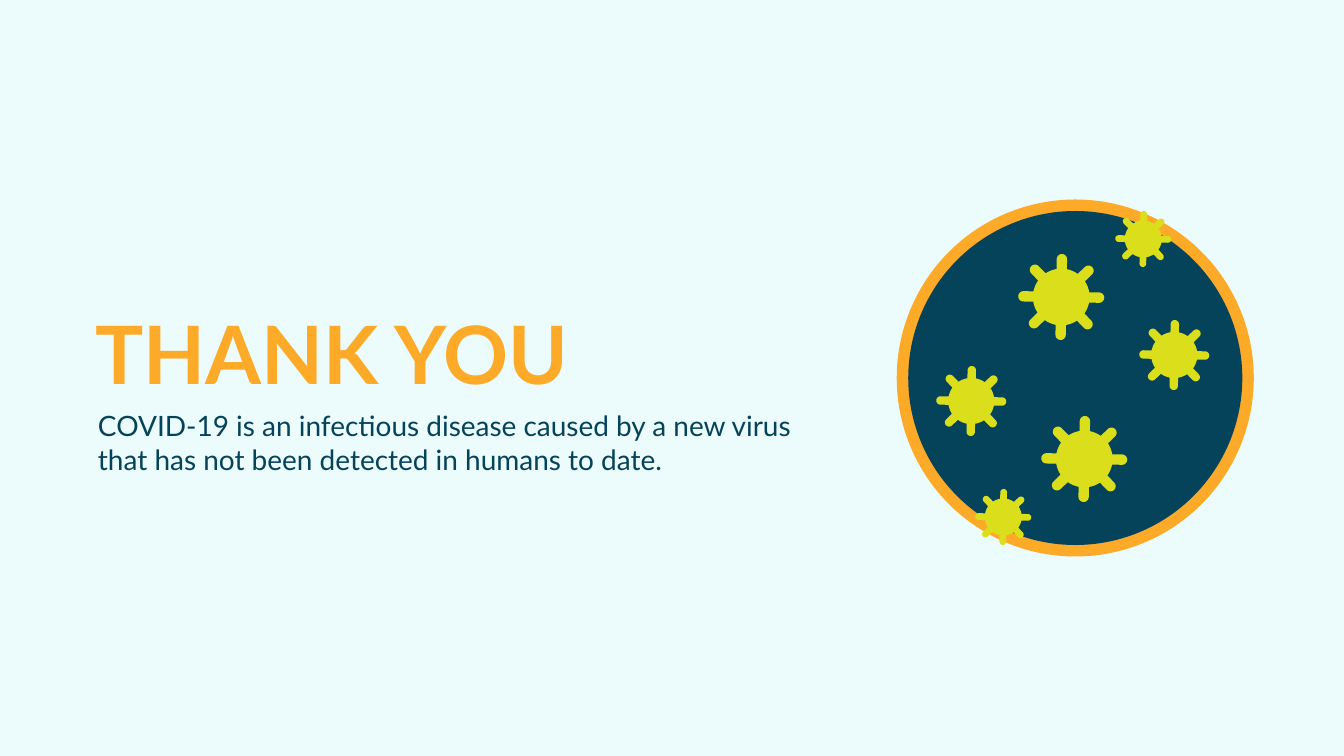
from math import asin, cos, pi, radians, sin, sqrt

from pptx import Presentation
from pptx.dml.color import RGBColor
from pptx.enum.shapes import MSO_SHAPE
from pptx.enum.text import MSO_ANCHOR, MSO_AUTO_SIZE, PP_ALIGN
from pptx.util import Inches, Pt

OVAL = MSO_SHAPE.OVAL
TOP = MSO_ANCHOR.TOP
LEFT = PP_ALIGN.LEFT
FIT_SHAPE = MSO_AUTO_SIZE.SHAPE_TO_FIT_TEXT

PALE = RGBColor(0xEC, 0xFB, 0xFB)
ORANGE = RGBColor(0xFD, 0xAA, 0x29)
NAVY = RGBColor(0x05, 0x43, 0x5B)
LIME = RGBColor(0xDB, 0xDF, 0x1B)
FONT = "Lato"

# Content: text with its box (left, top, width, height) in px
TITLE = "THANK YOU"
TITLE_BOX = (90, 301, 498, 103)
MESSAGE = ("COVID-19 is an infectious disease caused by a new virus "
           "that has not been detected in humans to date.")
MESSAGE_BOX = (93, 406, 735, 73)

# Dish: centre, then the diameter and colour of each disc
DISH_CENTRE = (1075, 378)
DISCS = [(357, ORANGE), (334, NAVY)]

# Viruses: centre x, centre y, radius to the spike tips
VIRUSES = [
    (1084, 459, 43), (1174, 355, 35), (1143, 239, 28),
    (1061, 297, 43), (971, 401, 35), (1003, 517, 28),
]
SPIKES = 8
TILT = radians(1)
BODY_RATIO = 0.66    # body radius to full radius
SPIKE_RATIO = 0.12   # half a spike's width to full radius
CAP_STEPS = 10

PX = Inches(1) / 50.4


def emu(*lengths):
    return [round(length * PX) for length in lengths]


def paint(shape, color):
    shape.fill.solid()
    shape.fill.fore_color.rgb = color
    shape.line.fill.background()
    shape.shadow.inherit = False


def write(shape, text, size, color, bold, wrap):
    frame = shape.text_frame
    frame.word_wrap = wrap
    frame.auto_size = FIT_SHAPE
    frame.vertical_anchor = TOP
    frame.text = text
    para = frame.paragraphs[0]
    para.alignment = LEFT
    font = para.font
    font.name, font.size, font.bold = FONT, Pt(size), bold
    font.color.rgb = color


def virus_outline(center_x, center_y, radius):
    """Points around a round body with evenly spaced, round-tipped spikes."""
    body, half = radius * BODY_RATIO, radius * SPIKE_RATIO
    # One spike pointing right: base, rounded cap, base, middle of the gap
    base = sqrt(body ** 2 - half ** 2)
    spike = [(base, -half)]
    for step in range(CAP_STEPS + 1):
        angle = pi * (step / CAP_STEPS - 0.5)
        spike.append((radius - half + half * cos(angle), half * sin(angle)))
    spike.append((base, half))
    gap_middle = pi / SPIKES
    gap_start = asin(half / body)
    for angle in ((gap_start + gap_middle) / 2, gap_middle,
                  (3 * gap_middle - gap_start) / 2):
        spike.append((body * cos(angle), body * sin(angle)))

    points = []
    for index in range(SPIKES):
        turn = TILT + index * 2 * pi / SPIKES
        for x, y in spike:
            points.append(emu(center_x + x * cos(turn) - y * sin(turn),
                              center_y + x * sin(turn) + y * cos(turn)))
    return points


def main():
    deck = Presentation()
    deck.slide_width, deck.slide_height = Inches(26.66), Inches(15)
    page = deck.slides.add_slide(deck.slide_layouts[5])
    page.background.fill.solid()
    page.background.fill.fore_color.rgb = PALE

    # Title and message
    title = page.shapes.title
    title.left, title.top, title.width, title.height = emu(*TITLE_BOX)
    write(title, TITLE, 115, ORANGE, bold=True, wrap=False)
    message = page.shapes.add_textbox(*emu(*MESSAGE_BOX))
    write(message, MESSAGE, 40, NAVY, bold=False, wrap=True)

    # Dish
    for diameter, color in DISCS:
        left, top = (center - diameter / 2 for center in DISH_CENTRE)
        disc = page.shapes.add_shape(OVAL, *emu(left, top, diameter, diameter))
        paint(disc, color)

    # Viruses
    for virus in VIRUSES:
        start, *others = virus_outline(*virus)
        builder = page.shapes.build_freeform(*start)
        builder.add_line_segments(others, close=True)
        paint(builder.convert_to_shape(), LIME)

    deck.save("out.pptx")


if __name__ == "__main__":
    main()
